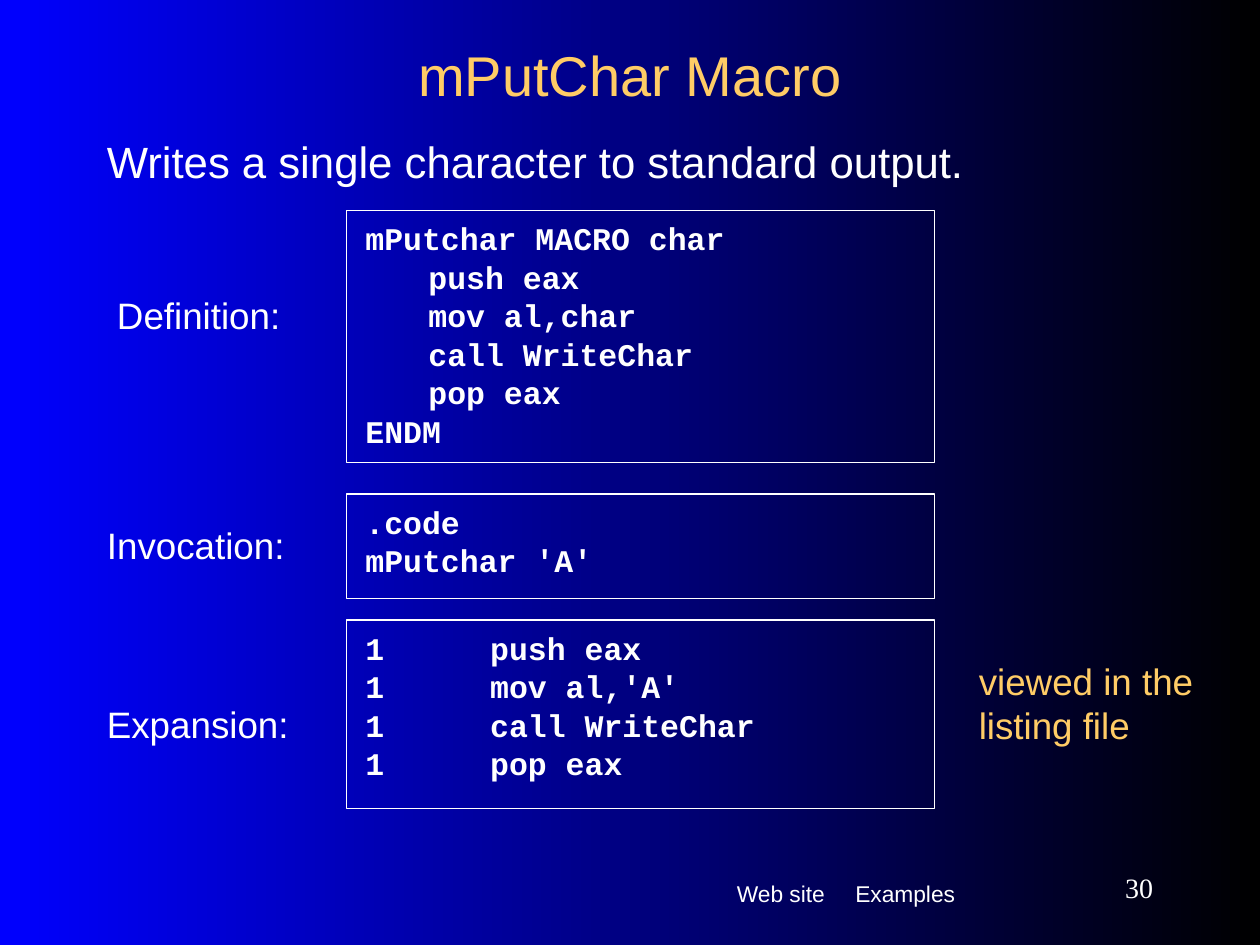
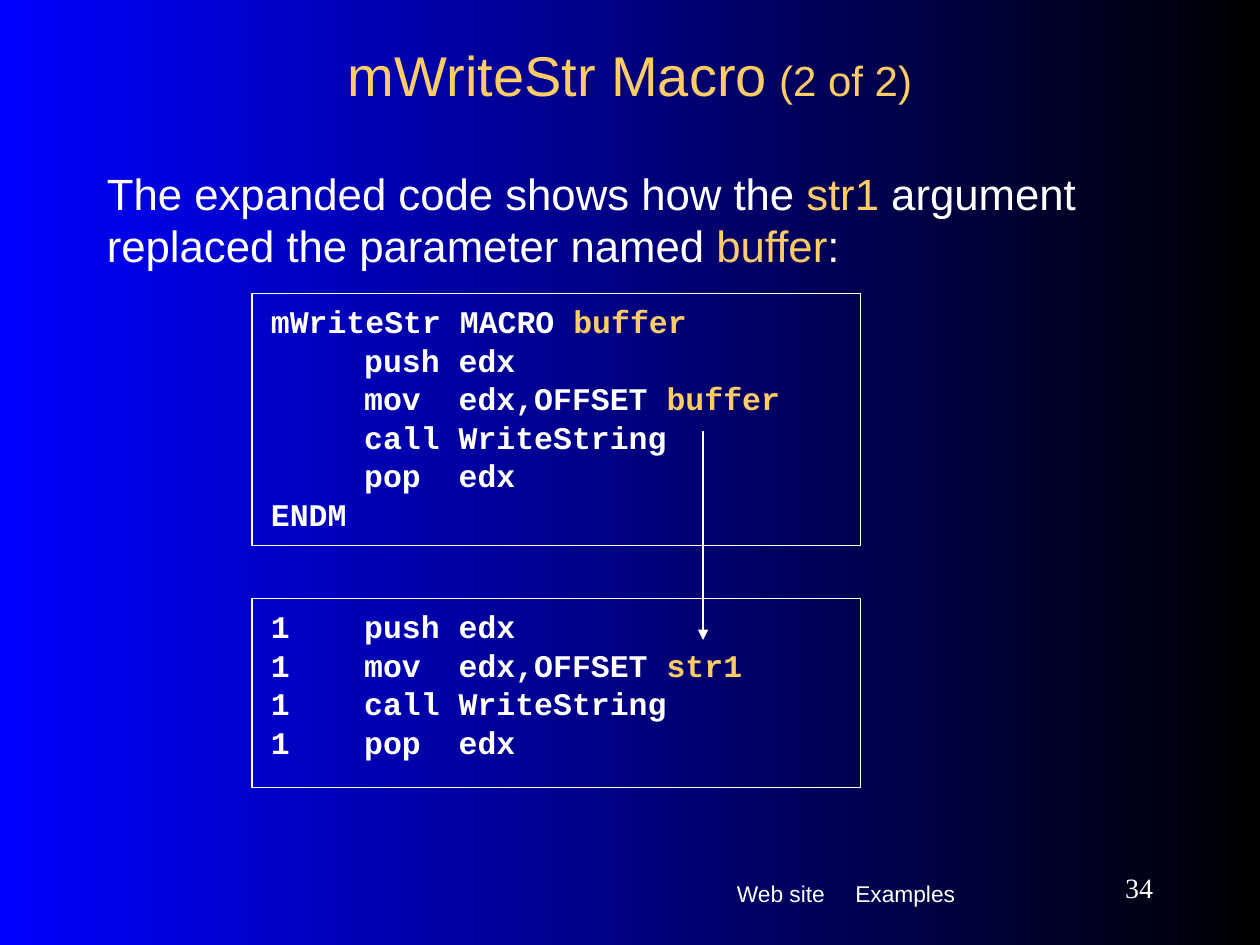
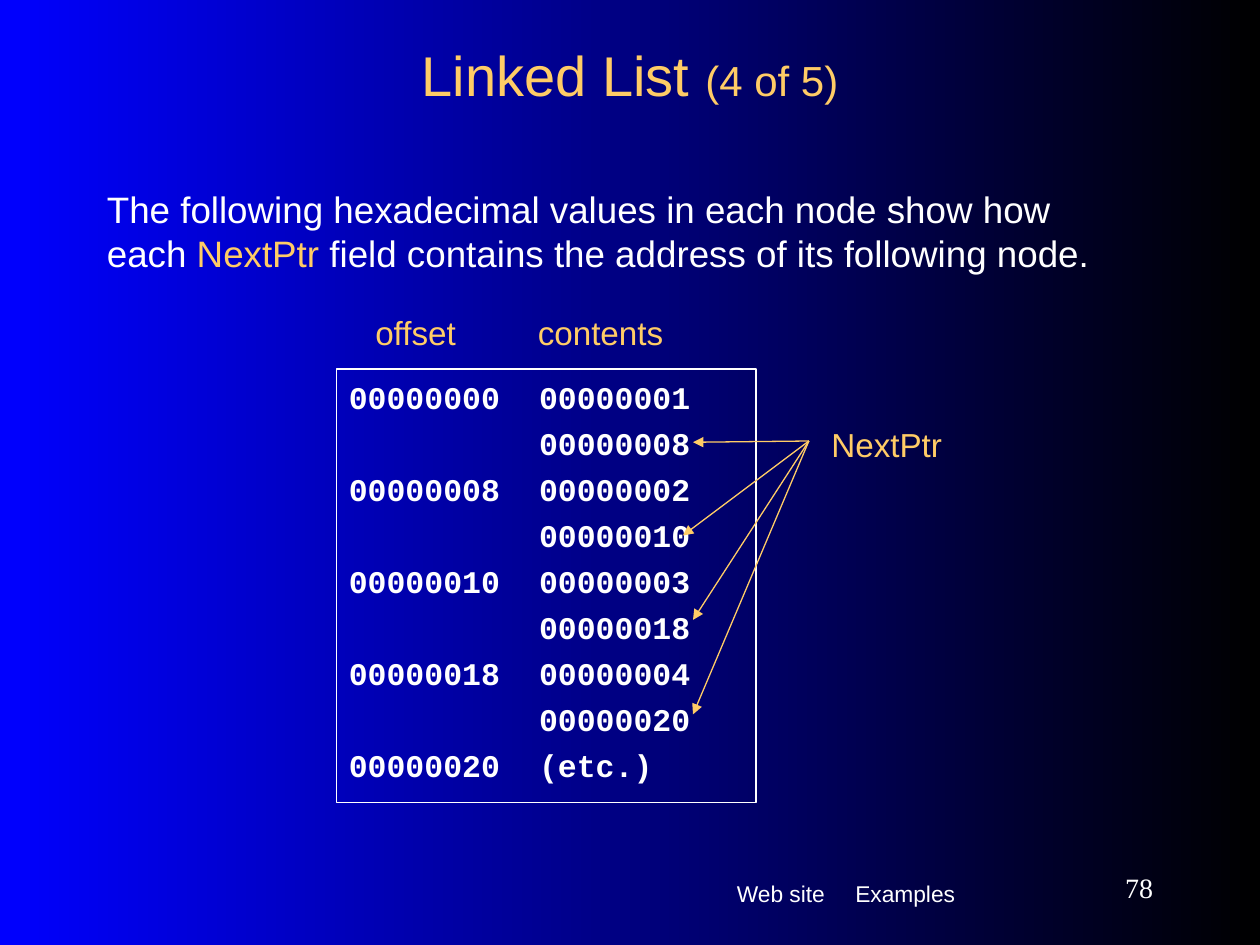
from lxml import etree
from pptx import Presentation
from pptx import util as u
from pptx.dml.color import RGBColor
from pptx.enum import shapes, text
from pptx.oxml.ns import qn

COLORS = {"text": "FFFFFF", "accent": "FFCC66", "bg_right": "000000", "bg_left": "0000FF"}
SANS, MONO, SERIF = "Arial", "Courier New", "Times New Roman"
FOOTER = "Web site\tExamples"

# Content: words between bars are highlighted.
# Texts: (text, box, size, color, tabs); code: (lines, box, tabs); arrows: (from, to, color)
SLIDES = [
    {
        "title": "mPutChar Macro",
        "number": "30",
        "code": [
            (["mPutchar MACRO char", "\tpush eax", "\tmov al,char",
              "\tcall WriteChar", "\tpop eax", "ENDM"], (2.75, 1.67, 4.67, 2), [0.5]),
            ([".code", "mPutchar 'A'"], (2.75, 3.92, 4.67, 0.83), [0.5]),
            (["1\tpush eax", "1\tmov al,'A'", "1\tcall WriteChar", "1\tpop eax"],
             (2.75, 4.92, 4.67, 1.5), [0.99]),
        ],
        "texts": [
            ("Writes a single character to standard output.",
             (0.75, 0.92, 8.42, 0.72), 25, "text", []),
            ("Definition:", (0.83, 2.17, 2.58, 0.65), 21, "text", []),
            ("Invocation:", (0.75, 4, 2.58, 0.65), 21, "text", []),
            ("Expansion:", (0.75, 5.42, 2.58, 0.65), 21, "text", []),
            ("viewed in the listing file", (7.67, 5.08, 2, 1), 21, "accent", []),
        ],
    },
    {
        "title": "mWriteStr Macro| (2 of 2)|",
        "number": "34",
        "code": [
            (["mWriteStr MACRO |buffer|", "\tpush\tedx", "\tmov\tedx,OFFSET |buffer|",
              "\tcall\tWriteString", "\tpop\tedx", "ENDM"],
             (2, 2.33, 4.83, 2), [0.74, 1.49]),
            (["1\tpush\tedx", "1\tmov\tedx,OFFSET |str1|",
              "1\tcall\tWriteString", "1\tpop\tedx"],
             (2, 4.75, 4.83, 1.5), [0.74, 1.49]),
        ],
        "texts": [
            ("The expanded code shows how the |str1| argument replaced "
             "the parameter named |buffer|:", (0.75, 1.17, 8.42, 1.13), 25, "text", []),
        ],
        "arrows": [((5.58, 3.42), (5.58, 5.08), "text")],
    },
    {
        "title": "Linked List |(4 of 5)|",
        "number": "78",
        "memory": (
            ["00000000\t00000001", "\t00000008", "00000008\t00000002", "\t00000010",
             "00000010\t00000003", "\t00000018", "00000018\t00000004", "\t00000020",
             "00000020\t(etc.)"], (2.67, 2.93, 3.33, 3.44), [1.51]),
        "texts": [
            ("The following hexadecimal values in each node show how each |NextPtr| "
             "field contains the address of its following node.",
             (0.75, 1.33, 8.33, 1), 21, "text", []),
            ("NextPtr", (6.5, 3.22, 1.33, 0.62), 19, "accent", []),
            ("\toffset\tcontents", (2.67, 2.33, 3.25, 0.62), 19, "accent", [0.21, 1.5]),
        ],
        "arrows": [((6.42, 3.5), end, "accent")
                   for end in [(5.5, 3.51), (5.42, 4.25), (5.5, 4.92), (5.5, 5.67)]],
    },
]


def rgb(name):
    return RGBColor.from_string(COLORS[name])


def inches(values):
    return [u.Inches(v) for v in values]


def write(tf, lines, size=18, font=SANS, color="text", bold=False, mark_size=None,
          tabs=(), spacing=None, before=0.625, align=text.PP_ALIGN.LEFT,
          anchor=text.MSO_ANCHOR.TOP, insets=(0.1, 0.15)):
    """Fill a text frame; the space before a paragraph is a share of its size."""
    tf.word_wrap = True
    tf.auto_size = text.MSO_AUTO_SIZE.NONE
    tf.vertical_anchor = anchor
    tf.margin_left = tf.margin_right = u.Inches(insets[0])
    tf.margin_top = tf.margin_bottom = u.Inches(insets[1])
    for i, line in enumerate(lines):
        p = tf.add_paragraph() if i else tf.paragraphs[0]
        p.alignment = align
        p.space_before = u.Pt(round(size * before, 1))
        if spacing:
            p.line_spacing = spacing
        if tabs:
            tab_list = etree.SubElement(p._p.get_or_add_pPr(), qn("a:tabLst"))
            for pos in tabs:
                etree.SubElement(tab_list, qn("a:tab"), pos=str(u.Inches(pos)), algn="l")
        for k, part in enumerate(line.split("|")):
            if not part:
                continue
            marked = k % 2 == 1
            r = p.add_run()
            r.text = part
            r.font.name = font
            r.font.size = u.Pt(mark_size if marked and mark_size else size)
            r.font.bold = bold
            r.font.color.rgb = rgb("accent" if marked else color)


def add_text(s, line, box, **fmt):
    write(s.shapes.add_textbox(*inches(box)).text_frame, [line], **fmt)


def add_code(s, lines, box, tabs, spacing=0.5, insets=(0.15, 0.2)):
    sp = s.shapes.add_shape(shapes.MSO_SHAPE.RECTANGLE, *inches(box))
    sp.shadow.inherit = False
    sp.fill.background()
    sp.line.color.rgb = rgb("text")
    sp.line.width = u.Pt(0.75)
    write(sp.text_frame, lines, font=MONO, bold=True, tabs=tabs,
          spacing=spacing, insets=insets)


def add_arrow(s, start, end, color):
    c = s.shapes.add_connector(shapes.MSO_CONNECTOR.STRAIGHT, *inches(start + end))
    c.line.color.rgb = rgb(color)
    c.line.width = u.Pt(0.75)
    etree.SubElement(c.line._get_or_add_ln(), qn("a:tailEnd"), type="triangle")
    etree.SubElement(c._element.spPr, qn("a:effectLst"))


def add_frame(s, title, number):
    """Title, footer and slide number shared by all slides."""
    sp = s.shapes.title
    sp.left, sp.top, sp.width, sp.height = inches((0.75, 0.25, 8.5, 0.67))
    write(sp.text_frame, [title], size=32, color="accent", mark_size=24, before=0,
          align=text.PP_ALIGN.CENTER, anchor=text.MSO_ANCHOR.MIDDLE, insets=(0.1, 0.05))
    add_text(s, FOOTER, (5.75, 6.83, 2.25, 0.52), size=13, tabs=[0.94])
    add_text(s, number, (8.17, 6.83, 1.08, 0.42), size=16, font=SERIF, before=0,
             align=text.PP_ALIGN.RIGHT, anchor=text.MSO_ANCHOR.MIDDLE, insets=(0.1, 0.05))


def main():
    prs = Presentation()
    prs.slide_width, prs.slide_height = inches((10, 7.5))

    # Shared background
    fill = prs.slide_master.background.fill
    fill.gradient()
    fill.gradient_angle = 180
    for stop, name in zip(fill.gradient_stops, ("bg_right", "bg_left")):
        stop.color.rgb = rgb(name)

    for content in SLIDES:
        s = prs.slides.add_slide(prs.slide_layouts[5])
        add_frame(s, content["title"], content["number"])
        for lines, box, tabs in content.get("code", []):
            add_code(s, lines, box, tabs)
        if "memory" in content:
            add_code(s, *content["memory"], spacing=0.7, insets=(0.1, 0.15))
        for line, box, size, color, tabs in content["texts"]:
            add_text(s, line, box, size=size, color=color, tabs=tabs)
        for arrow in content.get("arrows", []):
            add_arrow(s, *arrow)

    prs.save("out.pptx")


if __name__ == "__main__":
    main()
